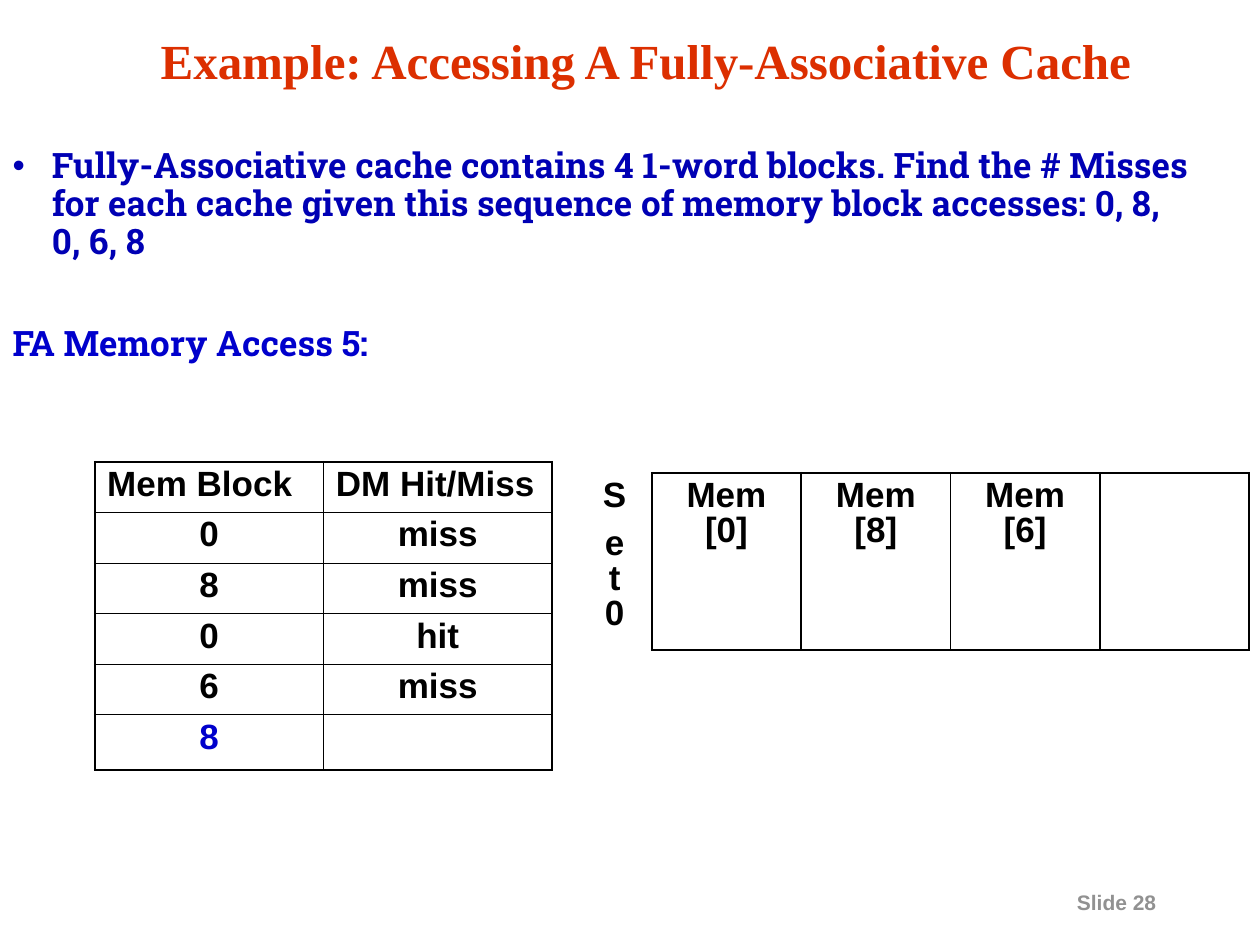
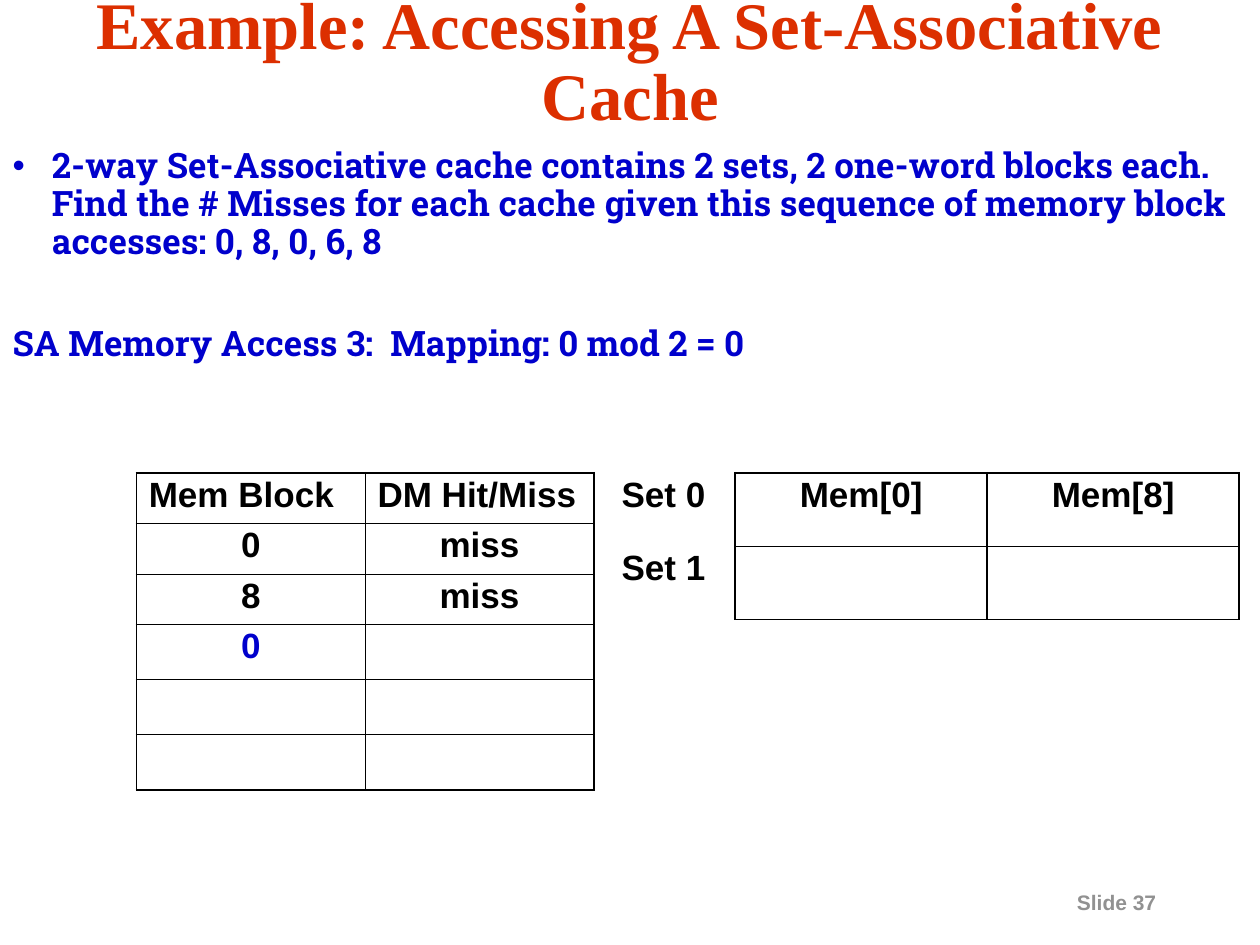
"""Builds two slides on accessing associative caches."""
import pptx
import pptx.dml.color
import pptx.enum.text
import pptx.oxml.ns
import pptx.util
from lxml import etree
from pptx.util import Cm, Pt

RED, NAVY, BLUE, BLACK, GREY = "DC2F00", "0000B4", "0000CC", "000000", "919191"
THICK, THIN = 1.08, 0.45
INSET = Cm(0.25)
NO_STYLE = "{2D5ABB26-0587-4C30-8999-92F81FD0307C}"
CENTER = pptx.enum.text.PP_ALIGN.CENTER
LEFT = pptx.enum.text.PP_ALIGN.LEFT
HEADINGS = ["Mem Block", "DM Hit/Miss"]


def rgb(value):
    """Return the colour for a hex string."""
    return pptx.dml.color.RGBColor.from_string(value)


def format_paragraph(paragraph, size, color, font="Arial", align=LEFT, before=0, spacing=0.9):
    """Set the spacing of a paragraph and the look of its runs."""
    paragraph.alignment = align
    paragraph.line_spacing = spacing
    paragraph.space_before = Pt(before)
    for span in paragraph.runs:
        span.font.size = Pt(size)
        span.font.name = font
        span.font.bold = True
        span.font.color.rgb = rgb(color)


def place(box, left, top, width, height):
    """Move and size a placeholder and switch off automatic fitting."""
    box.left, box.top, box.width, box.height = (Cm(v) for v in (left, top, width, height))
    box.text_frame.auto_size = pptx.enum.text.MSO_AUTO_SIZE.NONE
    box.text_frame.word_wrap = True


def add_title(page, text, left, size):
    """Fill the title, which reaches from left to the slide's right edge."""
    box = page.shapes.title
    place(box, left, 0.43, 25.4 - left, 1.7)
    box.text_frame.text = text
    box.text_frame.vertical_anchor = pptx.enum.text.MSO_ANCHOR.MIDDLE
    format_paragraph(box.text_frame.paragraphs[0], size, RED, "Times New Roman", CENTER)


def add_task(page, task, access, width, task_color):
    """Fill the body with the bulleted task and the current access."""
    box = page.placeholders[1]
    place(box, 0, 2.54, width, 6.98)
    frame = box.text_frame
    frame.margin_top = Cm(0.45)
    frame.vertical_anchor = pptx.enum.text.MSO_ANCHOR.TOP
    frame.text = f"{task}\n{access}"
    lines = zip(frame.paragraphs, (task_color, BLUE), (0, 36.6), (Cm(0.79), 0))
    for paragraph, color, before, indent in lines:
        properties = paragraph._p.get_or_add_pPr()
        properties.set("marL", str(indent))
        properties.set("indent", str(-indent))
        if not indent:
            etree.SubElement(properties, pptx.oxml.ns.qn("a:buNone"))
        format_paragraph(paragraph, 20, color, "Roboto Slab", before=before)


def add_footer(page, number):
    """Write the slide number at the lower right."""
    box = page.shapes.add_textbox(Cm(21.46), Cm(17.8), Cm(3.68), Cm(0.77))
    box.text_frame.word_wrap = False
    box.text_frame.text = f"Slide {number}"
    format_paragraph(box.text_frame.paragraphs[0], 12, GREY, spacing=1.0)


def set_borders(cell, widths):
    """Draw black cell borders; widths maps L, R, T and B to points."""
    properties = cell._tc.get_or_add_tcPr()
    for side in "LRTB":
        if side in widths:
            line = etree.SubElement(properties, pptx.oxml.ns.qn(f"a:ln{side}"), w=str(Pt(widths[side])))
            fill = etree.SubElement(line, pptx.oxml.ns.qn("a:solidFill"))
            etree.SubElement(fill, pptx.oxml.ns.qn("a:srgbClr"), val=BLACK)


def add_grid(page, left, top, widths, heights, rows, inner=THIN, labels=0):
    """Add a table with a thick frame; the first label columns stay unframed."""
    shape = page.shapes.add_table(len(rows), len(widths), Cm(left), Cm(top),
                                  Cm(sum(widths)), Cm(sum(heights)))
    table = shape.table
    table.first_row = table.horz_banding = False
    table._tbl.tblPr.find(pptx.oxml.ns.qn("a:tableStyleId")).text = NO_STYLE
    for column, width in zip(table.columns, widths):
        column.width = Cm(width)
    last_row, last_column = len(rows) - 1, len(widths) - 1
    for r, (row, height) in enumerate(zip(rows, heights)):
        table.rows[r].height = Cm(height)
        for c, text in enumerate(row):
            cell = table.cell(r, c)
            if c < labels:
                set_borders(cell, {"R": THICK})
            else:
                set_borders(cell, {"L": THICK if c == labels else inner,
                                   "R": THICK if c == last_column else inner,
                                   "T": THICK if r == 0 else THIN,
                                   "B": THICK if r == last_row else THIN})
            cell.fill.background()
            cell.margin_left = cell.margin_right = INSET
            cell.text_frame.text = text
            for i, paragraph in enumerate(cell.text_frame.paragraphs):
                format_paragraph(paragraph, 20, BLACK, align=CENTER, before=7.5 if i else 0)
    return table


def add_accesses(page, left, top, accesses, current):
    """Add the hit and miss table, with the current access in blue."""
    rows = [HEADINGS] + accesses
    heights = [1.02 if r < current else 1.11 for r in range(len(rows))]
    table = add_grid(page, left, top, [4.61] * 2, heights, rows)
    for column in range(2):
        table.cell(0, column).text_frame.paragraphs[0].alignment = LEFT
    table.cell(current, 0).text_frame.paragraphs[0].runs[0].font.color.rgb = rgb(BLUE)


def add_fully_associative(page):
    """Build the slide on the fully associative cache."""
    add_footer(page, 28)
    add_title(page, "Example: Accessing A Fully-Associative Cache", 0.64, 28)
    add_task(page, "Fully-Associative cache contains 4 1-word blocks. Find the # Misses for each "
             "cache given this sequence of memory block accesses: 0, 8, 0, 6, 8",
             "FA Memory Access 5:", 24.34, NAVY)
    table = add_grid(page, 11.64, 9.53, [1.5] + [3.01] * 4, [3.57],
                     [["S\ne t 0", "Mem [0]", "Mem [8]", "Mem [6]", ""]], THICK, 1)
    label = table.cell(0, 0)
    label.margin_left = label.margin_right = Cm(0.38)
    add_accesses(page, 1.91, 9.31, [["0", "miss"], ["8", "miss"], ["0", "hit"],
                                    ["6", "miss"], ["8", ""]], 5)


def add_set_associative(page):
    """Build the slide on the set-associative cache."""
    add_footer(page, 37)
    add_title(page, "Example: Accessing A Set-Associative Cache", 0, 38)
    add_task(page, "2-way Set-Associative cache contains 2 sets, 2 one-word blocks each. Find the "
             "# Misses for each cache given this sequence of memory block accesses: 0, 8, 0, 6, 8",
             "SA Memory Access 3:  Mapping: 0 mod 2 = 0", 25.4, BLUE)
    table = add_grid(page, 12.28, 9.53, [2.54, 5.08, 5.08], [1.48] * 2,
                     [["Set 0", "Mem[0]", "Mem[8]"], ["Set 1", "", ""]], THICK, 1)
    for row in range(2):
        table.cell(row, 0).text_frame.paragraphs[0].alignment = LEFT
    add_accesses(page, 2.75, 9.53, [["0", "miss"], ["8", "miss"], ["0", ""],
                                    ["", ""], ["", ""]], 3)


def main():
    """Build and save the deck."""
    deck = pptx.Presentation()
    deck.slide_width, deck.slide_height = Cm(25.4), Cm(19.05)
    for build in (add_fully_associative, add_set_associative):
        build(deck.slides.add_slide(deck.slide_layouts[1]))
    deck.save("out.pptx")


if __name__ == "__main__":
    main()
